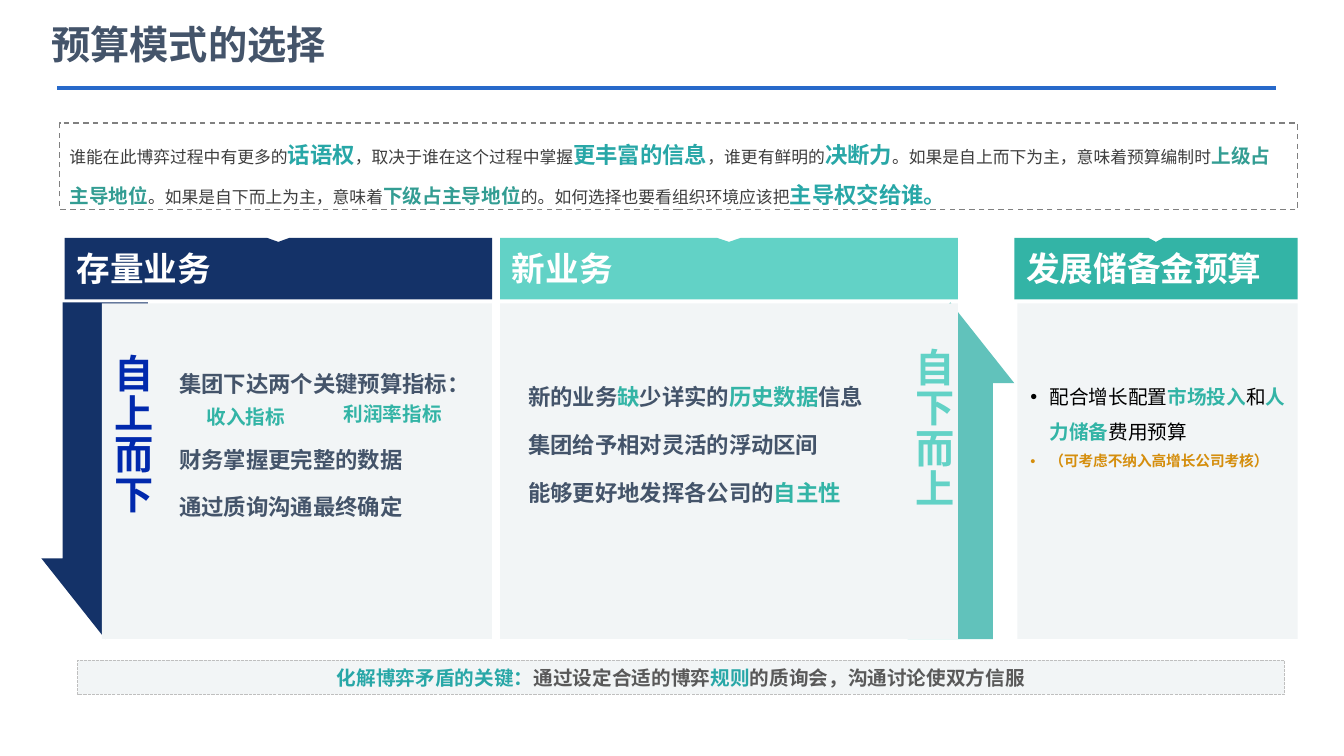
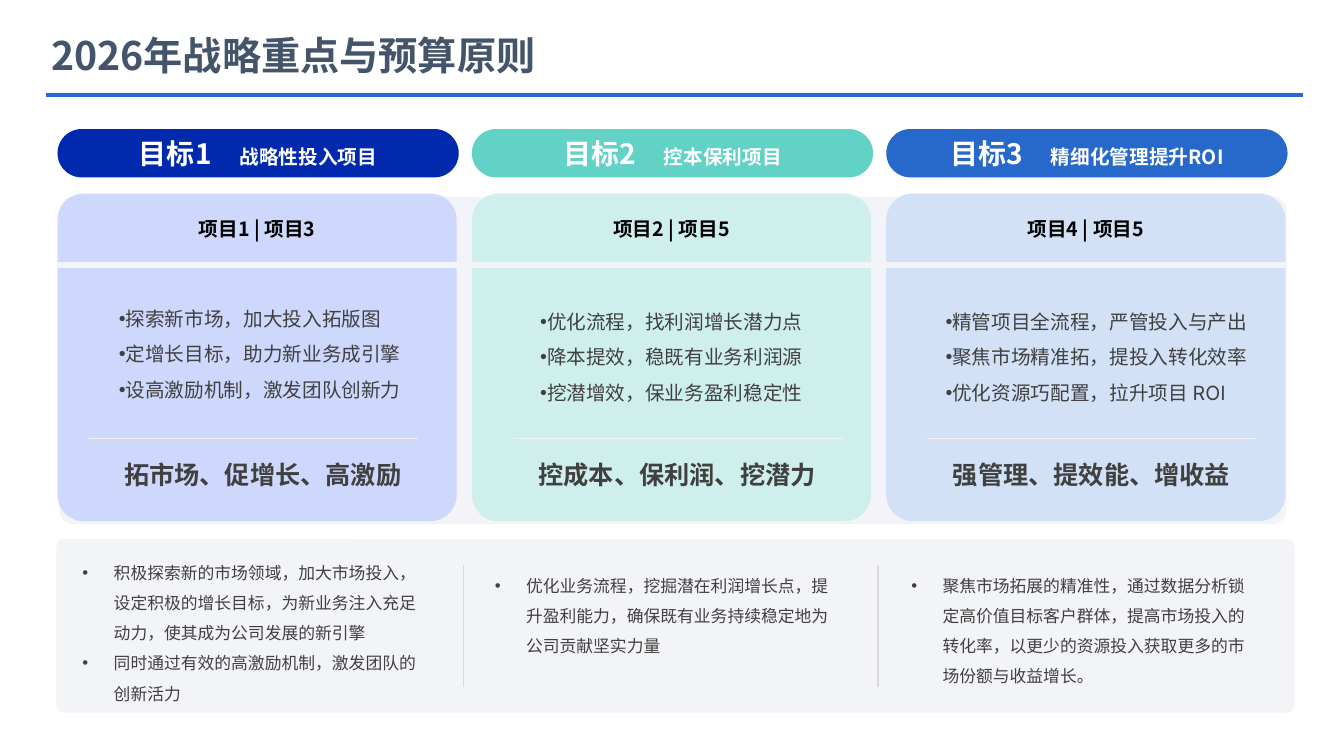
from lxml import etree
from pptx import Presentation
from pptx.dml.color import RGBColor
from pptx.enum import dml, shapes, text
from pptx.oxml import ns
from pptx.util import Inches, Pt

NAVY = RGBColor(0x14, 0x32, 0x68)
ROYAL = RGBColor(0x01, 0x29, 0xAD)
BLUE = RGBColor(0x27, 0x69, 0xCA)
SLATE = RGBColor(0x44, 0x54, 0x6A)
MINT = RGBColor(0x62, 0xD2, 0xC6)
MINT_DARK = RGBColor(0x61, 0xC2, 0xBB)
GREEN = RGBColor(0x33, 0xB4, 0xA6)
TEAL = RGBColor(0x28, 0xA7, 0xA7)
TEAL_DARK = RGBColor(0x33, 0x9D, 0x93)
AMBER = RGBColor(0xD5, 0x8E, 0x0D)
LILAC = RGBColor(0xBC, 0xCC, 0xFF)
AQUA = RGBColor(0xC0, 0xED, 0xE8)
SKY = RGBColor(0xD2, 0xE1, 0xF6)
PANEL = RGBColor(0xF2, 0xF5, 0xF6)
MIST = RGBColor(0xF3, 0xF4, 0xF7)
RULE = RGBColor(0xF2, 0xF2, 0xF2)
SILVER = RGBColor(0xD9, 0xD9, 0xD9)
BORDER = RGBColor(0xBF, 0xBF, 0xBF)
GRAY = RGBColor(0x80, 0x80, 0x80)
INK = RGBColor(0x3E, 0x3E, 0x3E)
BODY = RGBColor(0x40, 0x40, 0x40)
DIM = RGBColor(0x59, 0x59, 0x59)
WHITE = RGBColor(0xFF, 0xFF, 0xFF)
BLACK = RGBColor(0, 0, 0)
CJK = "Noto Sans CJK SC"
LEFT, CENTER = text.PP_ALIGN.LEFT, text.PP_ALIGN.CENTER
TOP, MIDDLE = text.MSO_ANCHOR.TOP, text.MSO_ANCHOR.MIDDLE
SHAPE = shapes.MSO_SHAPE


def inches(*values):
    """Convert several lengths to EMU."""
    return [Inches(v) for v in values]


def add_bullet(p, indent):
    """Give a paragraph a round bullet with a hanging indent."""
    pPr = p._p.get_or_add_pPr()
    pPr.set("marL", str(Inches(indent)))
    pPr.set("indent", str(-Inches(indent)))
    etree.SubElement(pPr, ns.qn("a:buFont")).set("typeface", "Arial")
    etree.SubElement(pPr, ns.qn("a:buChar")).set("char", "•")


def write(tf, paras, font=CJK, align=LEFT, anchor=TOP, spacing=None,
          bullet=None, before=(), tracking=None):
    """Fill a frame with paragraphs of (text, size, colour, bold) runs."""
    tf.word_wrap = True
    tf.vertical_anchor = anchor
    for i, runs in enumerate(paras):
        p = tf.paragraphs[0] if i == 0 else tf.add_paragraph()
        if bullet is not None:
            add_bullet(p, bullet)
        p.alignment = align
        if spacing:
            p.line_spacing = spacing
        if i and before:
            p.space_before = Pt(before[i - 1])
        for words, size, color, bold in runs:
            r = p.add_run()
            r.text = words
            r.font.size, r.font.bold, r.font.name = Pt(size), bold, font
            r.font.color.rgb = color
            rPr = r._r.get_or_add_rPr()
            etree.SubElement(rPr, ns.qn("a:ea")).set("typeface", CJK)
            if tracking:
                rPr.set("spc", str(tracking * 100))


def add_text(s, box, paras, vertical=False, **style):
    """Place a text box."""
    tf = s.shapes.add_textbox(*inches(*box)).text_frame
    if vertical:
        tf._txBody.bodyPr.set("vert", "eaVert")
    write(tf, paras, **style)


def paint(sp, fill=None, line=None, alpha=None):
    """Set fill, outline and transparency, and drop the shadow."""
    sp.shadow.inherit = False
    if fill is None:
        sp.fill.background()
    else:
        sp.fill.solid()
        sp.fill.fore_color.rgb = fill
    if alpha:
        color = sp._element.spPr.find(".//" + ns.qn("a:srgbClr"))
        etree.SubElement(color, ns.qn("a:alpha")).set("val", str(alpha * 1000))
    if line is None:
        sp.line.fill.background()
    else:
        color, width, dash = line
        sp.line.color.rgb, sp.line.width = color, Pt(width)
        sp.line.dash_style = dash


def add_shape(s, kind, box, fill=None, line=None, alpha=None, adj=()):
    """Place a preset shape."""
    sp = s.shapes.add_shape(kind, *inches(*box))
    for i, value in enumerate(adj):
        sp.adjustments[i] = value
    paint(sp, fill, line, alpha)
    return sp


def add_line(s, x1, y1, x2, y2, color, width):
    """Draw a straight line."""
    c = s.shapes.add_connector(shapes.MSO_CONNECTOR.STRAIGHT,
                               *inches(x1, y1, x2, y2))
    c.line.color.rgb, c.line.width = color, Pt(width)
    etree.SubElement(c._element.spPr, ns.qn("a:effectLst"))


def titled_slide(prs, title, top, x1, x2, rule_y):
    """Add a slide with its title and the blue rule below it."""
    s = prs.slides.add_slide(prs.slide_layouts[5])
    sp = s.shapes.title
    sp.left, sp.top, sp.width, sp.height = inches(0.41, top, 6.11, 0.53)
    write(sp.text_frame, [[(title, 28, SLATE, True)]],
          anchor=MIDDLE, spacing=0.9)
    add_line(s, x1, rule_y, x2, rule_y, BLUE, 3)
    return s


def notched_header(s, x, y, w, h, color):
    """Draw a band with a small notch in the middle of its top edge."""
    mid, notch = x + w / 2, w * 0.026
    points = [(mid - notch, y), (mid, y + 0.04), (mid + notch, y),
              (x + w, y), (x + w, y + h), (x, y + h)]
    fb = s.shapes.build_freeform(*inches(x, y))
    fb.add_line_segments([inches(*pt) for pt in points], close=True)
    paint(fb.convert_to_shape(), color)


def business_panel(s, x, y, w, title, color, inset=0, arrow=None):
    """Draw a headed panel, with an optional arrow behind its body."""
    notched_header(s, x, y, w, 0.61, color)
    if arrow:
        kind, dx, fill = arrow
        add_shape(s, kind, (x + dx, y + 0.64, 1.27, 3.34), fill,
                  adj=(0.665, 0.631))
    add_shape(s, SHAPE.RECTANGLE, (x + inset, y + 0.65, w - inset, 3.33), PANEL)
    add_text(s, (x + 0.02, y + 0.05, w - 0.04, 0.5),
             [[(title, 24, WHITE, True)]], font="Calibri")


def intro_box(s, box):
    """Draw the dashed introduction box."""
    sp = add_shape(s, SHAPE.RECTANGLE, box,
                   line=(GRAY, 1, dml.MSO_LINE.DASH))

    def plain(words):
        return words, 12, INK, False

    def strong(words):
        return words, 16, TEAL, True

    def lead(words):
        return words, 14, TEAL_DARK, True

    write(sp.text_frame, [[
        plain("谁能在此博弈过程中有更多的"), strong("话语权"),
        plain("，取决于谁在这个过程中掌握"), strong("更丰富的信息"),
        plain("，谁更有鲜明的"), strong("决断力"),
        plain("。如果是自上而下为主，意味着预算编制时"), lead("上级占主导地位"),
        plain("。如果是自下而上为主，意味着"), lead("下级占主导地位"),
        plain("的。如何选择也要看组织环境应该把"), strong("主导权交给谁。"),
    ]], spacing=1.5)


def key_band(s, box):
    """Draw the closing message band."""
    sp = add_shape(s, SHAPE.RECTANGLE, box, PANEL,
                   (BORDER, 0.75, dml.MSO_LINE.SQUARE_DOT))
    parts = [("化解博弈矛盾的关键：", TEAL), ("通过设定合适的博弈", DIM),
             ("规则", TEAL), ("的质询会，沟通讨论使双方信服", DIM)]
    write(sp.text_frame, [[(t, 14, c, True) for t, c in parts]],
          align=CENTER, anchor=MIDDLE)


def budget_modes(prs):
    """Build the slide on choosing a budget mode."""
    s = titled_slide(prs, "预算模式的选择", 0.2, 0.57, 12.66, 0.87)
    intro_box(s, (0.59, 1.22, 12.28, 0.86))
    y = 2.36
    business_panel(s, 0.64, y, 4.24, "存量业务", NAVY, 0.37,
                   (SHAPE.DOWN_ARROW, -0.23, NAVY))
    business_panel(s, 4.96, y, 4.54, "新业务", MINT, 0,
                   (SHAPE.UP_ARROW, 3.83, MINT_DARK))
    business_panel(s, 10.06, y, 2.81, "发展储备金预算", GREEN, 0.03)

    for box, words, color in [((0.93, 3.41, 0.67, 2.47), "自上而下", ROYAL),
                              ((8.87, 3.35, 0.67, 2.14), "自下而上", MINT)]:
        add_text(s, box, [[(words, 28, color, True)]], vertical=True,
                 align=CENTER, tracking=1)

    existing = ["集团下达两个关键预算指标：", "财务掌握更完整的数据", "通过质询沟通最终确定"]
    add_text(s, (1.68, 3.62, 3.1, 1.75),
             [[(t, 16, SLATE, True)] for t in existing], before=(35, 15))
    for x, y, words in [(1.95, 3.97, "收入指标"), (3.31, 3.94, "利润率指标")]:
        add_text(s, (x, y, 1.3, 0.4), [[(words, 14, GREEN, True)]])

    new = [[("新的业务", SLATE), ("缺", GREEN), ("少详实的", SLATE),
            ("历史数据", GREEN), ("信息", SLATE)],
           [("集团给予相对灵活的浮动区间", SLATE)],
           [("能够更好地发挥各公司的", SLATE), ("自主性", GREEN)]]
    add_text(s, (5.14, 3.75, 3.8, 1.5),
             [[(t, 16, c, True) for t, c in line] for line in new],
             before=(15, 15))

    reserve = [("配合增长配置", 14, BLACK, False), ("市场投入", 14, GREEN, True),
               ("和", 14, BLACK, False), ("人力储备", 14, GREEN, True),
               ("费用预算", 14, BLACK, False)]
    add_text(s, (10.12, 3.65, 2.81, 1.43),
             [reserve, [("（可考虑不纳入高增长公司考核）", 10.5, AMBER, True)]],
             spacing=1.5, bullet=0.19)
    key_band(s, (0.77, 6.55, 11.97, 0.34))


GOALS = [
    dict(goal="目标1", name="战略性投入项目", color=ROYAL, tint=LILAC, alpha=69,
         projects="项目1 | 项目3", slogan="拓市场、促增长、高激励",
         points=["探索新市场，加大投入拓版图", "定增长目标，助力新业务成引擎",
                 "设高激励机制，激发团队创新力"],
         points_at=(0.51, 1.6), rule_dx=0.31, notes_at=(0.15, 0.08),
         notes=["积极探索新的市场领域，加大市场投入，设定积极的增长目标，为新业务注入充足动力，使其成为公司发展的新引擎",
                "同时通过有效的高激励机制，激发团队的创新活力"]),
    dict(goal="目标2", name="控本保利项目", color=MINT, tint=AQUA, alpha=69,
         projects="项目2 | 项目5", slogan="控成本、保利润、挖潜力",
         points=["优化流程，找利润增长潜力点", "降本提效，稳既有业务利润源",
                 "挖潜增效，保业务盈利稳定性"],
         points_at=(0.58, 1.63), rule_dx=0.42, notes_at=(0.13, 0.21),
         notes=["优化业务流程，挖掘潜在利润增长点，提升盈利能力，确保既有业务持续稳定地为公司贡献坚实力量"]),
    dict(goal="目标3", name="精细化管理提升ROI", color=BLUE, tint=SKY, alpha=None,
         projects="项目4 | 项目5", slogan="强管理、提效能、增收益",
         points=["精管项目全流程，严管投入与产出", "聚焦市场精准拓，提投入转化效率",
                 "优化资源巧配置，拉升项目 ROI"],
         points_at=(0.49, 1.63), rule_dx=0.4, notes_at=(0.15, 0.21),
         notes=["聚焦市场拓展的精准性，通过数据分析锁定高价值目标客户群体，提高市场投入的转化率，以更少的资源投入获取更多的市场份额与收益增长。"]),
]


def goal_pill(s, x, y, g):
    """Draw the rounded heading of a goal."""
    sp = add_shape(s, SHAPE.ROUNDED_RECTANGLE, (x, y, 3.98, 0.48),
                   g["color"], adj=(0.5,))
    write(sp.text_frame, [[(g["goal"] + "　", 20, WHITE, True),
                           (g["name"], 14, WHITE, True)]],
          align=CENTER, anchor=MIDDLE)


def goal_card(s, x, y, g):
    """Draw the tinted card of a goal."""
    add_shape(s, SHAPE.ROUNDED_RECTANGLE, (x, y, 3.96, 3.25), g["tint"],
              alpha=g["alpha"], adj=(0.081,))
    add_text(s, (x, y + 0.18, 3.96, 0.34),
             [[(g["projects"], 14, BLACK, True)]], align=CENTER)
    dx, dy = g["points_at"]
    add_text(s, (x + dx, y + dy - 0.64, 3.36, 1.12),
             [[(t, 14, BODY, False)] for t in g["points"]],
             font="Inter", spacing=1.5, bullet=0)
    left = x + g["rule_dx"]
    add_line(s, left, y + 2.43, left + 3.27, y + 2.43, RULE, 1)
    add_text(s, (x + 0.25, y + 2.59, 3.57, 0.4),
             [[(g["slogan"], 18, BODY, True)]], align=CENTER)


def strategy_goals(prs):
    """Build the slide on strategic goals and budget principles."""
    s = titled_slide(prs, "2026年战略重点与预算原则", 0.31, 0.46, 12.92, 0.94)
    left, pitch, notes_top = 0.57, 4.11, 5.35
    for box in [(0.59, 1.95, 12.17, 3.25), (0.56, notes_top, 12.28, 1.72)]:
        add_shape(s, SHAPE.ROUNDED_RECTANGLE, box, MIST, adj=(0.043,))
    for i, g in enumerate(GOALS):
        x = left + i * pitch
        goal_pill(s, x, 1.28, g)
        goal_card(s, x, 1.92, g)
        dx, dy = g["notes_at"]
        add_text(s, (x + dx, notes_top + dy, 3.67, 1.58),
                 [[(t, 12, BODY, False)] for t in g["notes"]],
                 spacing=1.5, bullet=0.31)
        if i:
            add_line(s, x - 0.08, notes_top + 0.26, x - 0.08,
                     notes_top + 1.47, SILVER, 1)
    add_line(s, left, 2.63, 12.76, 2.63, MIST, 4.5)


def main():
    """Build and save the presentation."""
    prs = Presentation()
    prs.slide_width, prs.slide_height = inches(13.33, 7.5)
    budget_modes(prs)
    strategy_goals(prs)
    prs.save("out.pptx")


if __name__ == "__main__":
    main()
